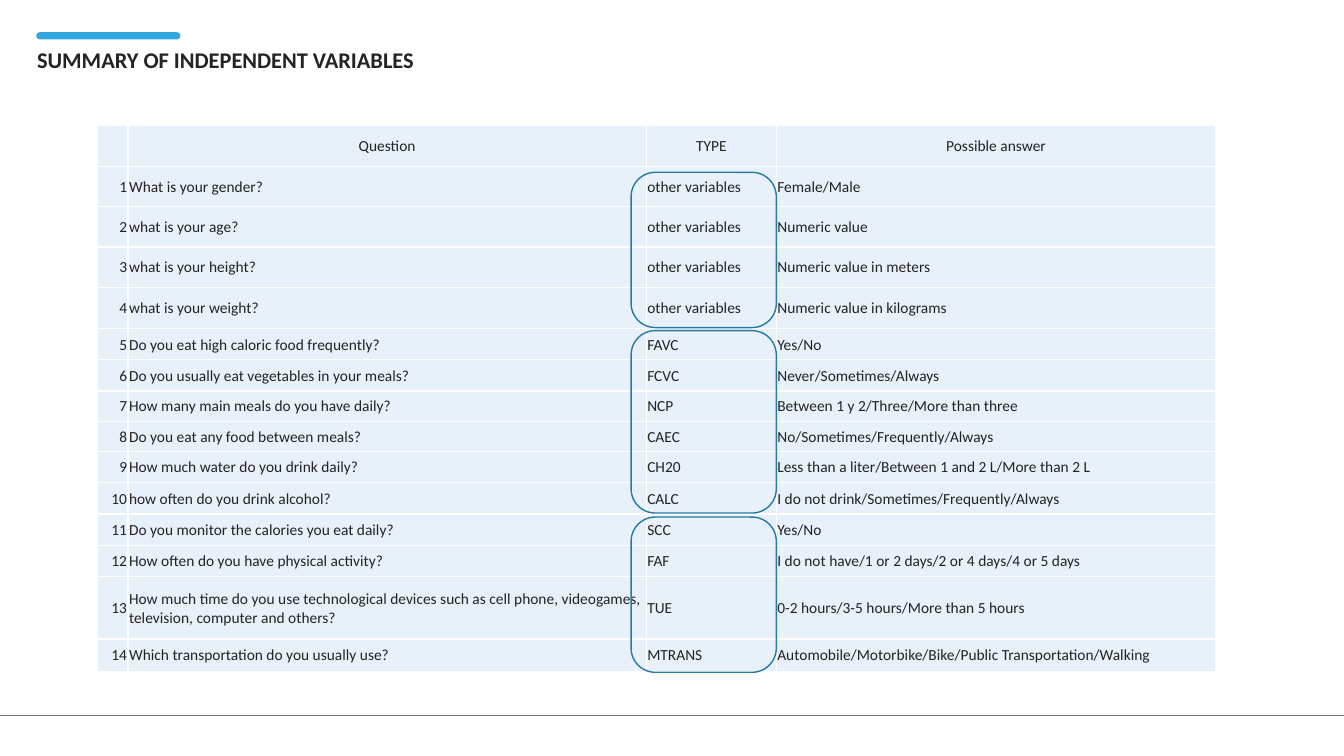
from pptx import Presentation
from pptx.dml.color import RGBColor
from pptx.enum.shapes import MSO_CONNECTOR, MSO_SHAPE
from pptx.enum.text import MSO_ANCHOR, PP_ALIGN
from pptx.oxml.ns import qn
from pptx.util import Inches, Pt
from lxml import etree

TITLE = "SUMMARY OF INDEPENDENT VARIABLES"
HEADER = ("", "Question", "TYPE", "Possible answer")
VARIABLES = [  # question, type, possible answer, row height
    ("What is your gender?", "other variables", "Female/Male", 0.4),
    ("what is your age?", "other variables", "Numeric value", 0.4),
    ("what is your height?", "other variables", "Numeric value in meters", 0.4),
    ("what is your weight?", "other variables", "Numeric value in kilograms", 0.41),
    ("Do you eat high caloric food frequently?", "FAVC", "Yes/No", 0.31),
    ("Do you usually eat vegetables in your meals?", "FCVC", "Never/Sometimes/Always", 0.31),
    ("How many main meals do you have daily?", "NCP",
     "Between 1 y 2/Three/More than three", 0.3),
    ("Do you eat any food between meals?", "CAEC", "No/Sometimes/Frequently/Always", 0.3),
    ("How much water do you drink daily?", "CH20",
     "Less than a liter/Between 1 and 2 L/More than 2 L", 0.31),
    ("how often do you drink alcohol?", "CALC",
     "I do not drink/Sometimes/Frequently/Always", 0.31),
    ("Do you monitor the calories you eat daily?", "SCC", "Yes/No", 0.31),
    ("How often do you have physical activity?", "FAF",
     "I do not have/1 or 2 days/2 or 4 days/4 or 5 days", 0.31),
    ("How much time do you use technological devices such as cell phone, videogames, "
     "television, computer and others?", "TUE", "0-2 hours/3-5 hours/More than 5 hours", 0.62),
    ("Which transportation do you usually use?", "MTRANS",
     "Automobile/Motorbike/Bike/Public Transportation/Walking", 0.32),
]
COL_WIDTHS = (0.3, 5.14, 1.29, 4.36)
HEADER_HEIGHT = 0.41
TYPE_GROUPS = [(1.71, 1.54), (3.28, 1.81), (5.13, 1.54)]  # top, height

FONT = "Calibri"
INK = RGBColor(0x23, 0x23, 0x23)
ACCENT = RGBColor(0x32, 0xA5, 0xDD)
OUTLINE = RGBColor(0x25, 0x7A, 0xA3)
RULE = RGBColor(0x73, 0x73, 0x73)
CELL = RGBColor(0xE8, 0xF0, 0xF9)


def add_run(p, text, size, bold=False):
    r = p.add_run()
    r.text = text
    r.font.name, r.font.size, r.font.bold = FONT, Pt(size), bold
    r.font.color.rgb = INK


def add_round_rect(s, left, top, width, height):
    sp = s.shapes.add_shape(MSO_SHAPE.ROUNDED_RECTANGLE, Inches(left), Inches(top),
                            Inches(width), Inches(height))
    sp.shadow.inherit = False
    return sp


def add_title(s):
    tf = s.shapes.add_textbox(Inches(0.27), Inches(0.44), Inches(4.14), Inches(0.38)).text_frame
    tf.word_wrap = True
    p = tf.paragraphs[0]
    p.alignment, p.line_spacing = PP_ALIGN.JUSTIFY, 0.9
    add_run(p, TITLE, 16, bold=True)

    bar = add_round_rect(s, 0.36, 0.32, 1.43, 0.07)
    bar.adjustments[0] = 0.5
    bar.fill.solid()
    bar.fill.fore_color.rgb = ACCENT
    bar.line.fill.background()


def add_footer_rule(s):
    rule = s.shapes.add_connector(MSO_CONNECTOR.STRAIGHT, 0, Inches(7.1),
                                  Inches(13.33), Inches(7.1))
    rule.line.color.rgb, rule.line.width = RULE, Pt(0.5)
    etree.SubElement(rule._element.spPr, qn("a:effectLst"))


def add_variable_table(s):
    rows = [HEADER] + [(str(n), *v[:3]) for n, v in enumerate(VARIABLES, 1)]
    heights = [HEADER_HEIGHT] + [v[3] for v in VARIABLES]
    table = s.shapes.add_table(len(rows), len(COL_WIDTHS), Inches(0.97), Inches(1.24),
                               Inches(sum(COL_WIDTHS)), Inches(sum(heights))).table
    table.first_row = table.horz_banding = False
    for column, width in zip(table.columns, COL_WIDTHS):
        column.width = Inches(width)
    for i, (texts, height) in enumerate(zip(rows, heights)):
        table.rows[i].height = Inches(height)
        for j, text in enumerate(texts):
            cell = table.cell(i, j)
            cell.fill.solid()
            cell.fill.fore_color.rgb = CELL
            cell.vertical_anchor = MSO_ANCHOR.MIDDLE
            cell.margin_left = cell.margin_top = cell.margin_right = Inches(0.01)
            cell.margin_bottom = 0
            p = cell.text_frame.paragraphs[0]
            if i == 0:
                p.alignment = PP_ALIGN.CENTER
            else:
                p.alignment = PP_ALIGN.RIGHT if j == 0 else PP_ALIGN.LEFT
            if text:
                add_run(p, text, 11)


def add_type_groups(s):
    for top, height in TYPE_GROUPS:
        frame = add_round_rect(s, 6.26, top, 1.44, height)
        frame.fill.background()
        frame.line.color.rgb, frame.line.width = OUTLINE, Pt(1)


def main():
    prs = Presentation()
    prs.slide_width, prs.slide_height = Inches(13.33), Inches(7.5)
    s = prs.slides.add_slide(prs.slide_layouts[6])
    add_title(s)
    add_footer_rule(s)
    add_variable_table(s)
    add_type_groups(s)
    prs.save("out.pptx")


if __name__ == "__main__":
    main()
